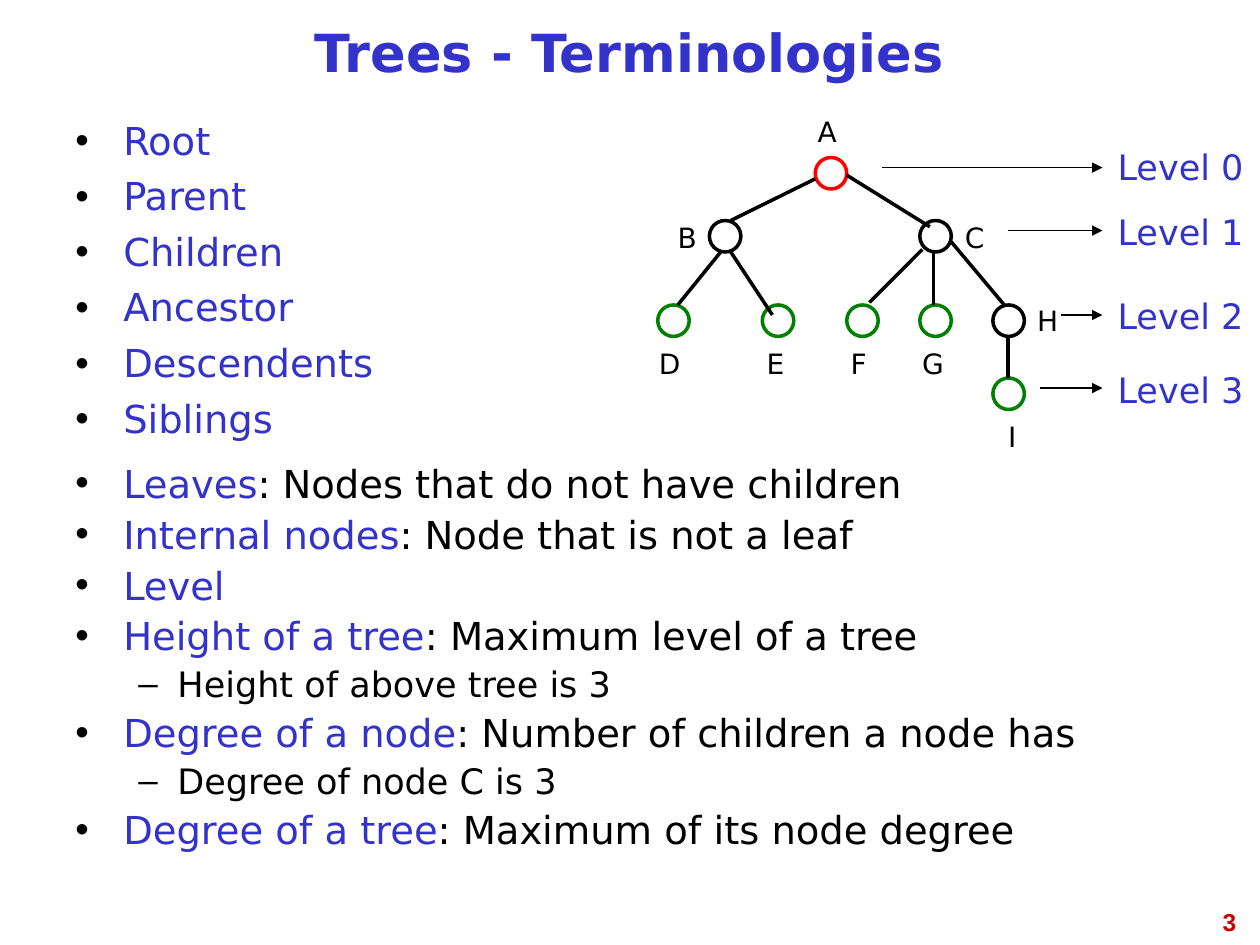
from dataclasses import dataclass
from typing import Optional

from lxml.etree import SubElement
from pptx import Presentation
from pptx.dml.color import RGBColor
from pptx.enum.shapes import MSO_CONNECTOR, MSO_SHAPE
from pptx.enum.text import MSO_ANCHOR, PP_ALIGN
from pptx.oxml.ns import qn
from pptx.util import Inches, Pt

COLORS = {
    "term": "3333CC",
    "text": "000000",
    "root": "FF0000",
    "inner": "000000",
    "leaf": "008000",
    "page": "CC0000",
}
FONT = "DejaVu Sans"
MARK_FONT = "Arial"
NODE_SIZE = 0.25
LABEL_WIDTH, LABEL_HEIGHT = 0.47, 0.42
LEVEL_LEFT, LEVEL_WIDTH = 8.83, 1.08
ARROW_END = 8.75


@dataclass(frozen=True)
class Node:
    name: str
    kind: str
    left: float
    top: float
    label_left: float
    label_top: float


@dataclass(frozen=True)
class Edge:
    x1: float
    y1: float
    x2: float
    y2: float


@dataclass(frozen=True)
class Level:
    name: str
    label_top: float
    arrow_start: float
    arrow_y: float


@dataclass(frozen=True)
class Bullet:
    term: str = ""
    explanation: str = ""
    sub: bool = False


NODES = [
    Node("A", "root", 6.47, 1.25, 6.33, 0.83),
    Node("B", "inner", 5.63, 1.75, 5.22, 1.67),
    Node("C", "inner", 7.3, 1.75, 7.5, 1.67),
    Node("D", "leaf", 5.22, 2.42, 5.08, 2.67),
    Node("E", "leaf", 6.05, 2.42, 5.92, 2.67),
    Node("F", "leaf", 6.72, 2.42, 6.58, 2.67),
    Node("G", "leaf", 7.3, 2.42, 7.17, 2.67),
    Node("H", "inner", 7.88, 2.42, 8.08, 2.33),
    Node("I", "leaf", 7.88, 3, 7.8, 3.25),
]
EDGES = [
    Edge(5.8, 1.75, 6.47, 1.42),
    Edge(6.72, 1.39, 7.38, 1.8),
    Edge(5.72, 2, 5.38, 2.42),
    Edge(5.8, 2, 6.13, 2.5),
    Edge(6.9, 2.4, 7.32, 1.98),
    Edge(7.41, 2.42, 7.41, 2),
    Edge(7.55, 1.92, 7.97, 2.42),
    Edge(8, 2.67, 8, 3),
]
LEVELS = [
    Level("Level 0", 1.11, 7, 1.33),
    Level("Level 1", 1.63, 8, 1.83),
    Level("Level 2", 2.29, 8.42, 2.5),
    Level("Level 3", 2.88, 8.25, 3.08),
]
TERMS = [Bullet(term) for term in
         ("Root", "Parent", "Children", "Ancestor", "Descendents", "Siblings")]
DEFINITIONS = [
    Bullet("Leaves", ": Nodes that do not have children"),
    Bullet("Internal nodes", ": Node that is not a leaf"),
    Bullet("Level"),
    Bullet("Height of a tree", ": Maximum level of a tree"),
    Bullet(explanation="Height of above tree is 3", sub=True),
    Bullet("Degree of a node", ": Number of children a node has"),
    Bullet(explanation="Degree of node C is 3", sub=True),
    Bullet("Degree of a tree", ": Maximum of its node degree"),
]


def rgb(color: str) -> RGBColor:
    return RGBColor.from_string(COLORS[color])


def style_run(run, size: float, color: str, bold: bool = False, font: str = FONT) -> None:
    run.font.name = font
    run.font.size = Pt(size)
    run.font.bold = bold
    run.font.color.rgb = rgb(color)


def add_label(shapes, text: str, left: float, top: float, width: float, height: float,
              size: float, color: str, bold: bool = False, font: str = FONT,
              align: PP_ALIGN = PP_ALIGN.CENTER, anchor: MSO_ANCHOR = MSO_ANCHOR.MIDDLE,
              wrap: bool = False, spacing: Optional[float] = None) -> None:
    box = shapes.add_textbox(Inches(left), Inches(top), Inches(width), Inches(height))
    frame = box.text_frame
    frame.word_wrap = wrap
    if not wrap:  # Single-line labels use the full width of their box
        frame.margin_left = frame.margin_right = Inches(0)
    frame.vertical_anchor = anchor
    frame.text = text
    paragraph = frame.paragraphs[0]
    paragraph.alignment = align
    paragraph.line_spacing = spacing
    style_run(paragraph.runs[0], size, color, bold, font)


def add_bullets(shapes, bullets: list[Bullet], left: float, top: float,
                width: float, height: float, spacing: float) -> None:
    box = shapes.add_textbox(Inches(left), Inches(top), Inches(width), Inches(height))
    frame = box.text_frame
    frame.word_wrap = True
    for index, bullet in enumerate(bullets):
        paragraph = frame.add_paragraph() if index else frame.paragraphs[0]
        paragraph.alignment = PP_ALIGN.JUSTIFY
        paragraph.level = int(bullet.sub)
        paragraph.line_spacing = spacing
        paragraph.space_before = Pt(7 if bullet.sub else 8)
        for text, color in ((bullet.term, "term"), (bullet.explanation, "text")):
            if text:
                run = paragraph.add_run()
                run.text = text
                style_run(run, 20 if bullet.sub else 22, color)
        # Bullet mark and hanging indent
        margin, indent, mark = (0.81, -0.31, "–") if bullet.sub else (0.38, -0.38, "•")
        properties = paragraph._p.get_or_add_pPr()
        properties.set("marL", str(Inches(margin)))
        properties.set("indent", str(Inches(indent)))
        mark_color = SubElement(properties, qn("a:buClr"))
        SubElement(mark_color, qn("a:srgbClr"), val=COLORS["text"])
        SubElement(properties, qn("a:buFont"), typeface=MARK_FONT)
        SubElement(properties, qn("a:buChar"), char=mark)


def add_line(shapes, edge: Edge, width: float, arrow: bool = False) -> None:
    connector = shapes.add_connector(MSO_CONNECTOR.STRAIGHT, Inches(edge.x1), Inches(edge.y1),
                                     Inches(edge.x2), Inches(edge.y2))
    connector.line.color.rgb = rgb("text")
    connector.line.width = Pt(width)
    if arrow:
        SubElement(connector.line._get_or_add_ln(), qn("a:tailEnd"), type="triangle")
    SubElement(connector._element.spPr, qn("a:effectLst"))


def add_node(shapes, node: Node) -> None:
    circle = shapes.add_shape(MSO_SHAPE.OVAL, Inches(node.left), Inches(node.top),
                              Inches(NODE_SIZE), Inches(NODE_SIZE))
    circle.shadow.inherit = False
    circle.fill.background()
    circle.line.color.rgb = rgb(node.kind)
    circle.line.width = Pt(2)
    add_label(shapes, node.name, node.label_left, node.label_top,
              LABEL_WIDTH, LABEL_HEIGHT, 16, "text")


def main() -> None:
    presentation = Presentation()
    presentation.slide_width, presentation.slide_height = Inches(10), Inches(7.5)
    slide = presentation.slides.add_slide(presentation.slide_layouts[6])

    # Title, page number and bullet lists
    add_label(slide.shapes, "Trees - Terminologies", 0.5, 0.08, 8.99, 0.75, 30, "term",
              bold=True, wrap=True, spacing=0.81)
    add_label(slide.shapes, "3", 7.58, 7.15, 2.33, 0.52, 14, "page", bold=True, font="Arial",
              align=PP_ALIGN.RIGHT, anchor=MSO_ANCHOR.TOP, wrap=True)
    add_bullets(slide.shapes, TERMS, 0.5, 0.92, 5.75, 2.83, 0.9)
    add_bullets(slide.shapes, DEFINITIONS, 0.5, 3.67, 8.92, 3.17, 0.8)

    # Tree diagram
    tree = slide.shapes.add_group_shape().shapes
    for node in NODES:
        add_node(tree, node)
    for edge in EDGES:
        add_line(tree, edge, 2)

    # Level labels with their arrows
    levels = slide.shapes.add_group_shape().shapes
    for level in LEVELS:
        add_label(levels, level.name, LEVEL_LEFT, level.label_top,
                  LEVEL_WIDTH, LABEL_HEIGHT, 20, "term")
        add_line(levels, Edge(level.arrow_start, level.arrow_y, ARROW_END, level.arrow_y),
                 1, arrow=True)

    presentation.save("out.pptx")


if __name__ == "__main__":
    main()
